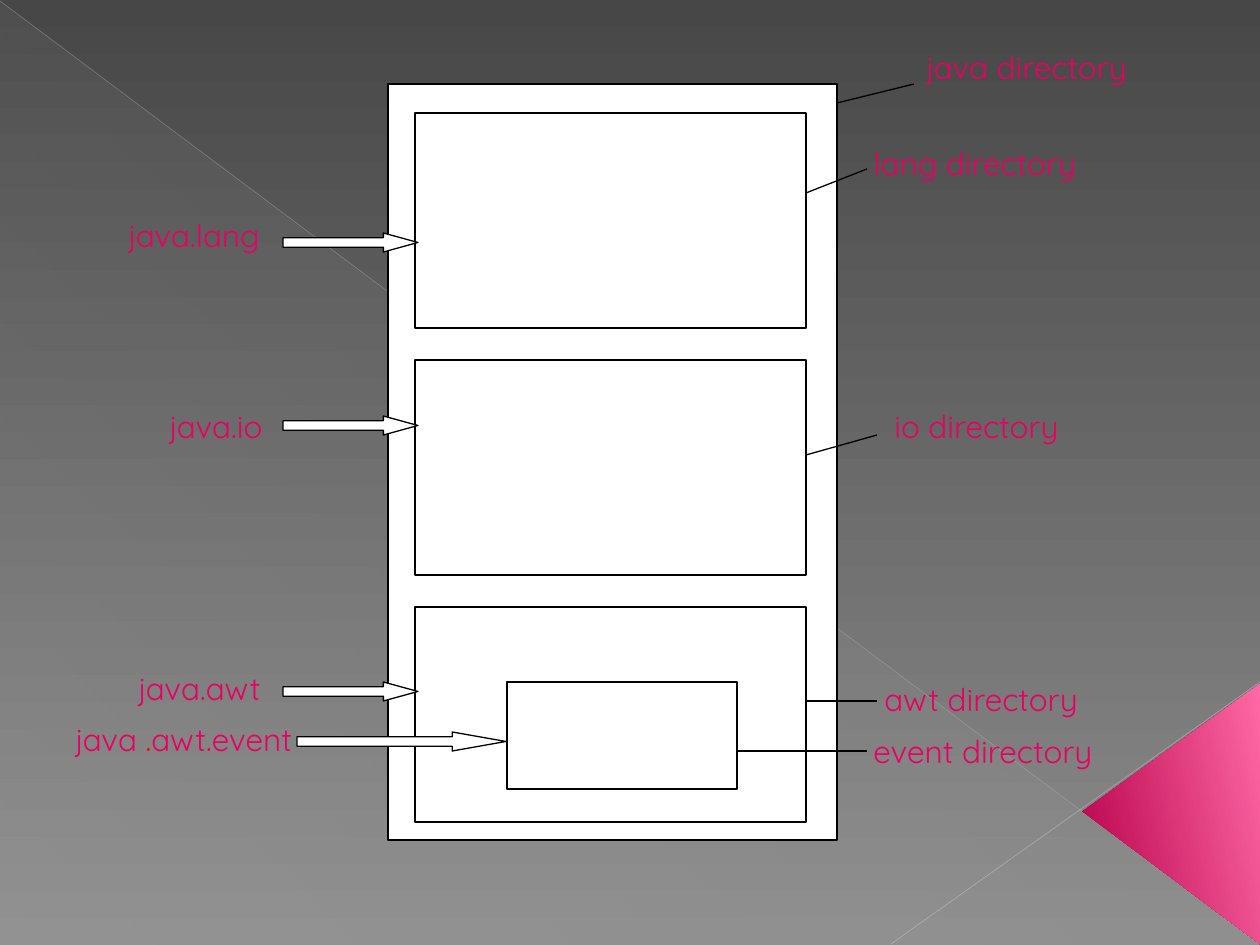
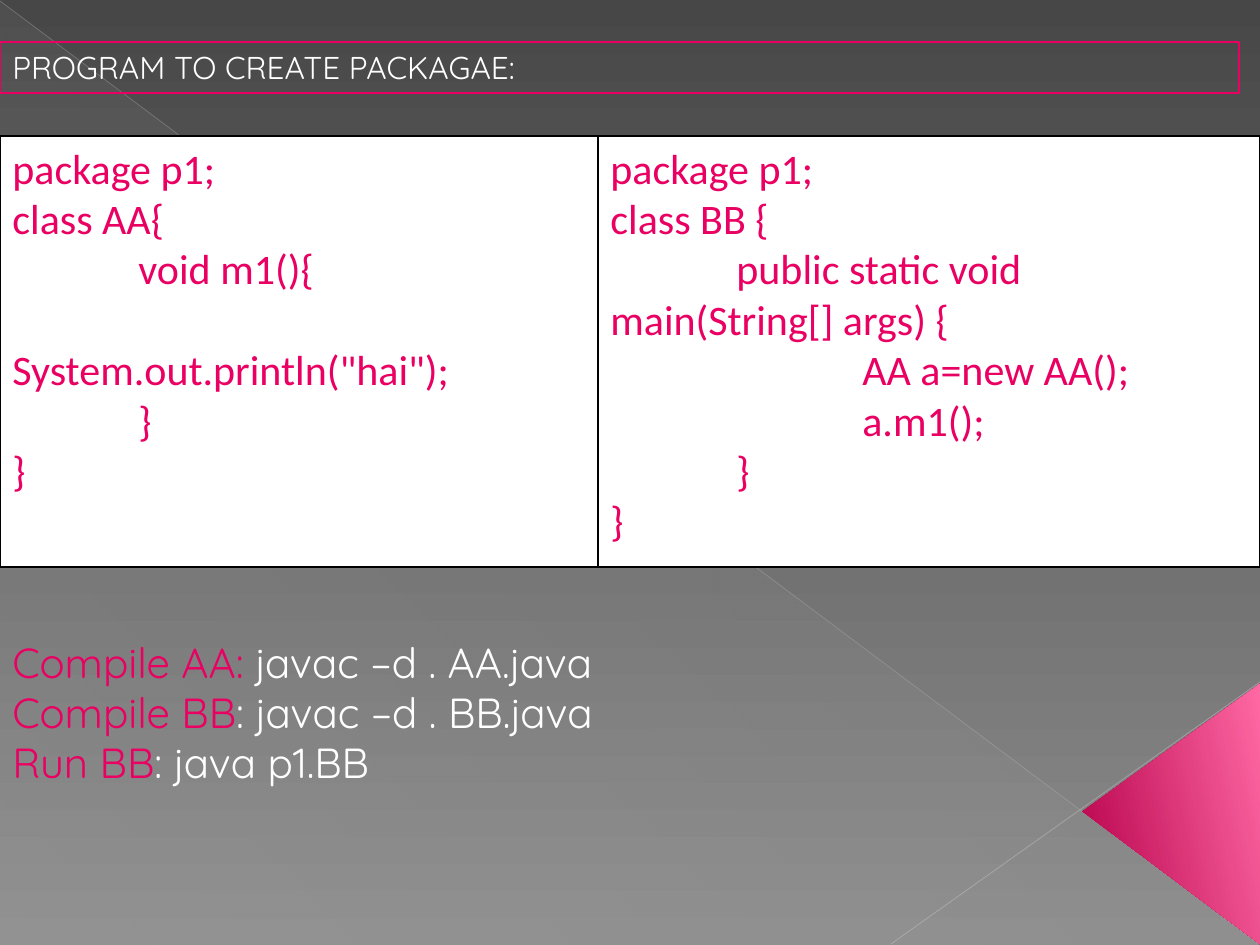
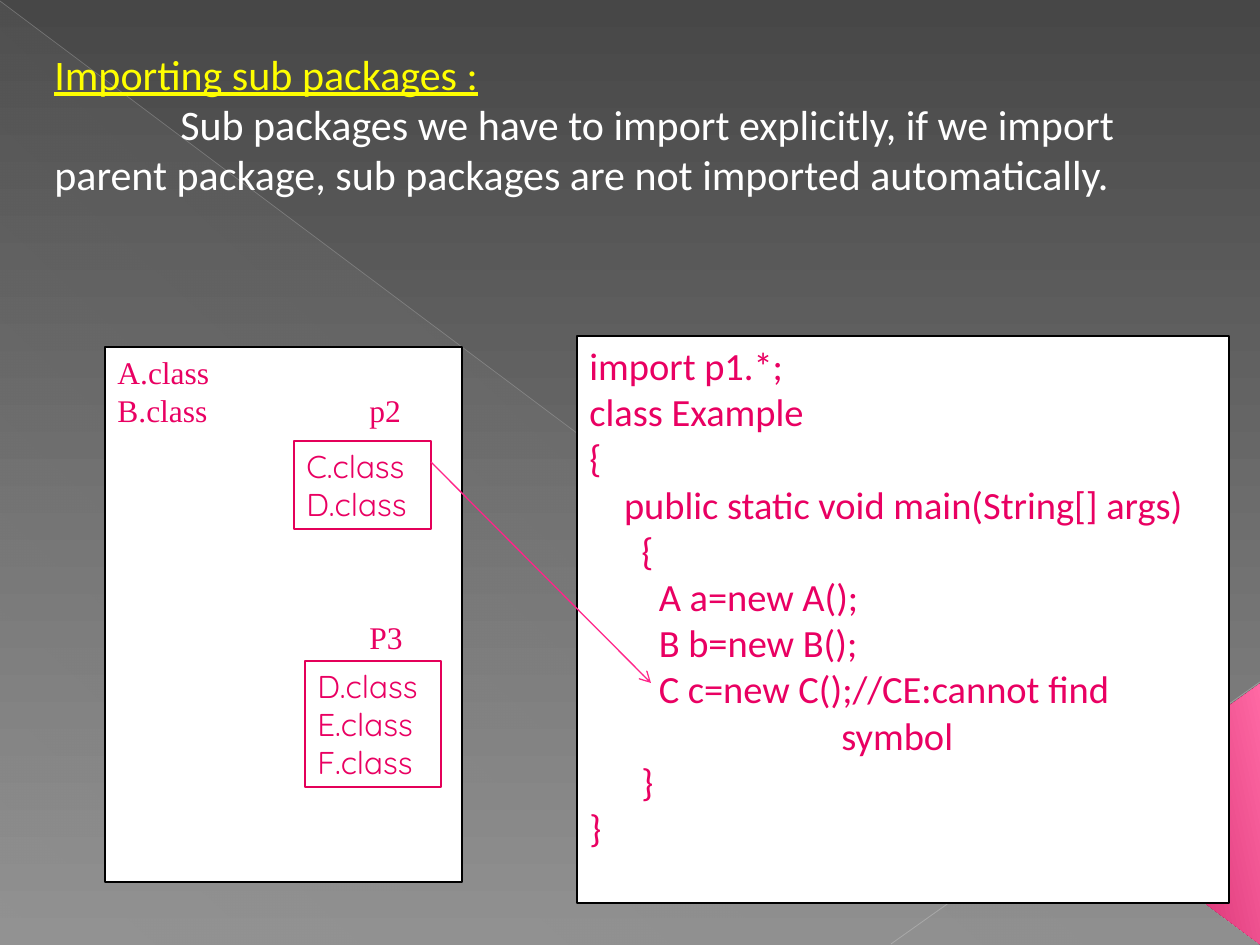
"""Build three slides about Java packages and sub packages."""
from lxml import etree
from pptx import Presentation
from pptx.dml.color import RGBColor
from pptx.enum.shapes import MSO_CONNECTOR, MSO_SHAPE
from pptx.enum.text import MSO_ANCHOR, PP_ALIGN
from pptx.oxml.ns import qn
from pptx.util import Pt

STRAIGHT = MSO_CONNECTOR.STRAIGHT
RECT = MSO_SHAPE.RECTANGLE
ARROW = MSO_SHAPE.RIGHT_ARROW
TRIANGLE = MSO_SHAPE.ISOSCELES_TRIANGLE
RIGHT_TRIANGLE = MSO_SHAPE.RIGHT_TRIANGLE
TOP, LEFT = MSO_ANCHOR.TOP, PP_ALIGN.LEFT

EMU_PER_INCH = 914400
PX_PER_INCH = 126
WIDTH, HEIGHT = 1260, 945

BLACK = RGBColor(0x00, 0x00, 0x00)
WHITE = RGBColor(0xFF, 0xFF, 0xFF)
PINK = RGBColor(0xE9, 0x00, 0x62)
BORDER_PINK = RGBColor(0xE4, 0x00, 0x59)
ARROW_PINK = RGBColor(0xFF, 0x24, 0x89)
RED = RGBColor(0xFF, 0x00, 0x00)
YELLOW = RGBColor(0xFF, 0xFF, 0x00)
BACK_DARK = RGBColor(0x47, 0x47, 0x47)
BACK_LIGHT = RGBColor(0x8C, 0x8C, 0x8C)
SHEEN = RGBColor(0xD2, 0xD2, 0xD2)
LONG_DIAGONAL = RGBColor(0xBF, 0xBF, 0xBF)
SHORT_DIAGONAL = RGBColor(0xC6, 0xC6, 0xC6)
CORNER_DARK = RGBColor(0xB6, 0x00, 0x4A)
CORNER_LIGHT = RGBColor(0xFF, 0x69, 0xA4)

QUICKSAND, CALIBRI, TIMES = "Quicksand", "Calibri", "Times New Roman"

CLASS_AA = """package p1;
class AA{
\tvoid m1(){
\t\tSystem.out.println("hai");
\t}
}"""

CLASS_BB = """package p1;
class BB {
\tpublic static void main(String[] args) {
\t\tAA a=new AA();
\t\ta.m1();
\t}
}"""

CLASS_EXAMPLE = """import p1.*;
class Example
{
    public static void main(String[] args)
      {
        A a=new A();
        B b=new B();
        C c=new C();//CE:cannot find \t\t\t\tsymbol
      }
}"""


def px(n):
    """Turn pixels into EMU."""
    return n * EMU_PER_INCH // PX_PER_INCH


def fill_gradient(fill, start, end, angle):
    """Fill with a two-colour gradient at a clockwise angle."""
    fill.gradient()
    fill.gradient_angle = 360 - angle
    for stop, colour in zip(fill.gradient_stops, (start, end)):
        stop.color.rgb = colour


def set_opacity(s, *percents):
    """Give the colours of a shape their opacities in order."""
    for colour, percent in zip(s.element.spPr.iter(qn("a:srgbClr")), percents):
        etree.SubElement(colour, qn("a:alpha"), val=str(percent * 1000))


def add_figure(slide, kind, box, fill=WHITE, line=BLACK):
    """Add a preset shape with an optional fill and outline."""
    s = slide.shapes.add_shape(kind, *map(px, box))
    s.shadow.inherit = False
    if fill is None:
        s.fill.background()
    else:
        s.fill.solid()
        s.fill.fore_color.rgb = fill
    if line is None:
        s.line.fill.background()
    else:
        s.line.color.rgb = line
        s.line.width = Pt(0.75)
    return s


def add_line(slide, start, end, colour=BLACK, weight=0.75, arrow=False):
    """Add a straight line, with an open arrowhead at its end if asked."""
    c = slide.shapes.add_connector(STRAIGHT, *map(px, start + end))
    c.line.color.rgb = colour
    c.line.width = Pt(weight)
    spPr = c.element.spPr
    if arrow:
        etree.SubElement(spPr.find(qn("a:ln")), qn("a:tailEnd"), type="arrow")
    etree.SubElement(spPr, qn("a:effectLst"))
    return c


def add_tabs(p):
    """Put left tab stops at every inch."""
    tabs = etree.SubElement(p._p.get_or_add_pPr(), qn("a:tabLst"))
    for inch in range(8):
        etree.SubElement(tabs, qn("a:tab"), pos=str(inch * EMU_PER_INCH), algn="l")


def plain(text, colour=PINK):
    """Turn lines of one colour into paragraphs of runs."""
    return [[(line, colour)] for line in text.split("\n")]


def write(s, paragraphs, font, size):
    """Write paragraphs of (text, colour) runs from the top left."""
    tf = s.text_frame
    tf.word_wrap = True
    tf.vertical_anchor = TOP
    for i, runs in enumerate(paragraphs):
        p = tf.add_paragraph() if i else tf.paragraphs[0]
        p.alignment = LEFT
        add_tabs(p)
        for text, colour in runs:
            r = p.add_run()
            r.text = text
            r.font.name = font
            r.font.size = Pt(size)
            r.font.color.rgb = colour
    return tf


def add_text(slide, box, paragraphs, font, size):
    """Add a text box."""
    return write(slide.shapes.add_textbox(*map(px, box)), paragraphs, font, size)


def add_panel(slide, box, text, font, size, fill=WHITE, line=BLACK, colour=PINK):
    """Add an outlined rectangle with text."""
    return write(add_figure(slide, RECT, box, fill, line), plain(text, colour), font, size)


def new_slide(prs):
    """Add a blank slide with the shared backdrop."""
    slide = prs.slides.add_slide(prs.slide_layouts[6])
    fill_gradient(slide.background.fill, BACK_DARK, BACK_LIGHT, 90)
    sheen = add_figure(slide, RIGHT_TRIANGLE, (1, 2, 1259, 943), line=None)
    fill_gradient(sheen.fill, SHEEN, SHEEN, 133)
    set_opacity(sheen, 1, 10)
    set_opacity(add_line(slide, (0, 1), (1259, 944), LONG_DIAGONAL, 0.4), 35)
    set_opacity(add_line(slide, (1260, 682), (891, 944), SHORT_DIAGONAL, 0.48), 45)
    corner = add_figure(slide, TRIANGLE, (1041, 725, 261, 178), line=None)
    corner.adjustments[0] = 0.51
    corner.rotation = 270
    fill_gradient(corner.fill, CORNER_DARK, CORNER_LIGHT, 348)
    corner.element.spPr.find(qn("a:gradFill")).set("rotWithShape", "0")
    return slide


def directory_slide(prs):
    """Show how packages map to nested directories."""
    slide = new_slide(prs)
    add_figure(slide, RECT, (388, 84, 449, 756))
    for row in range(3):
        add_figure(slide, RECT, (415, 113 + 247 * row, 391, 215))
    add_figure(slide, RECT, (507, 682, 230, 107))

    for left, top, width, head in ((283, 233, 135, 1.82), (283, 416, 135, 1.82),
                                   (283, 682, 135, 1.82), (297, 732, 209, 2.83)):
        arrow = add_figure(slide, ARROW, (left, top, width, 19))
        arrow.adjustments[1] = head

    for start, end in (((837, 103), (914, 84)), ((806, 193), (867, 169)),
                       ((806, 455), (877, 435)), ((806, 701), (877, 701)),
                       ((737, 751), (867, 751))):
        add_line(slide, start, end)

    for left, top, text in ((914, 42, "java directory"), (861, 138, "lang directory"),
                            (882, 401, "io directory"), (872, 674, "awt directory"),
                            (861, 726, "event directory"), (126, 663, "java.awt"),
                            (116, 210, "java.lang"), (157, 401, "java.io")):
        add_text(slide, (left, top, 262, 50), plain(text), QUICKSAND, 18)
    event = [[("java", PINK), (" .", RED), ("awt.event", PINK)]]
    add_text(slide, (63, 714, 262, 50), event, QUICKSAND, 18)


def program_slide(prs):
    """Show two classes of one package and how to run them."""
    slide = new_slide(prs)
    add_panel(slide, (0, 136, 598, 431), CLASS_AA, CALIBRI, 24)
    add_panel(slide, (598, 136, 662, 431), CLASS_BB, CALIBRI, 24)
    add_panel(slide, (0, 42, 1239, 51), "PROGRAM TO CREATE PACKAGAE:", QUICKSAND, 18,
              None, PINK, WHITE)
    commands = [[("Compile AA: ", PINK), ("javac –d . AA.java", WHITE)],
                [("Compile BB", PINK), (": javac –d . BB.java", WHITE)],
                [("Run BB", PINK), (": java p1.BB", WHITE)]]
    add_text(slide, (0, 630, 1061, 214), commands, QUICKSAND, 24)


def sub_package_slide(prs):
    """Show that importing a package leaves out its sub packages."""
    slide = new_slide(prs)
    intro = [[("Importing sub packages :", YELLOW)],
             [("\tSub packages we have to import explicitly, if we import parent package, "
               "sub packages are not imported automatically.", WHITE)]]
    tf = add_text(slide, (42, 42, 1187, 214), intro, CALIBRI, 24)
    tf.paragraphs[0].runs[0].font.underline = True

    tf = add_panel(slide, (105, 347, 357, 535), "A.class\nB.class\t\tp2\n\t\tP3", TIMES, 18)
    tf.paragraphs[2].space_before = Pt(108)
    add_panel(slide, (294, 441, 137, 88), "C.class\nD.class", QUICKSAND, 18,
              None, BORDER_PINK)
    add_panel(slide, (305, 661, 136, 126), "D.class\nE.class\nF.class", QUICKSAND, 18,
              None, BORDER_PINK)
    add_panel(slide, (577, 336, 652, 567), CLASS_EXAMPLE, CALIBRI, 22)
    add_line(slide, (431, 462), (651, 683), ARROW_PINK, arrow=True)


def main():
    """Build and save the presentation."""
    prs = Presentation()
    prs.slide_width, prs.slide_height = px(WIDTH), px(HEIGHT)
    directory_slide(prs)
    program_slide(prs)
    sub_package_slide(prs)
    prs.save("out.pptx")


if __name__ == "__main__":
    main()
